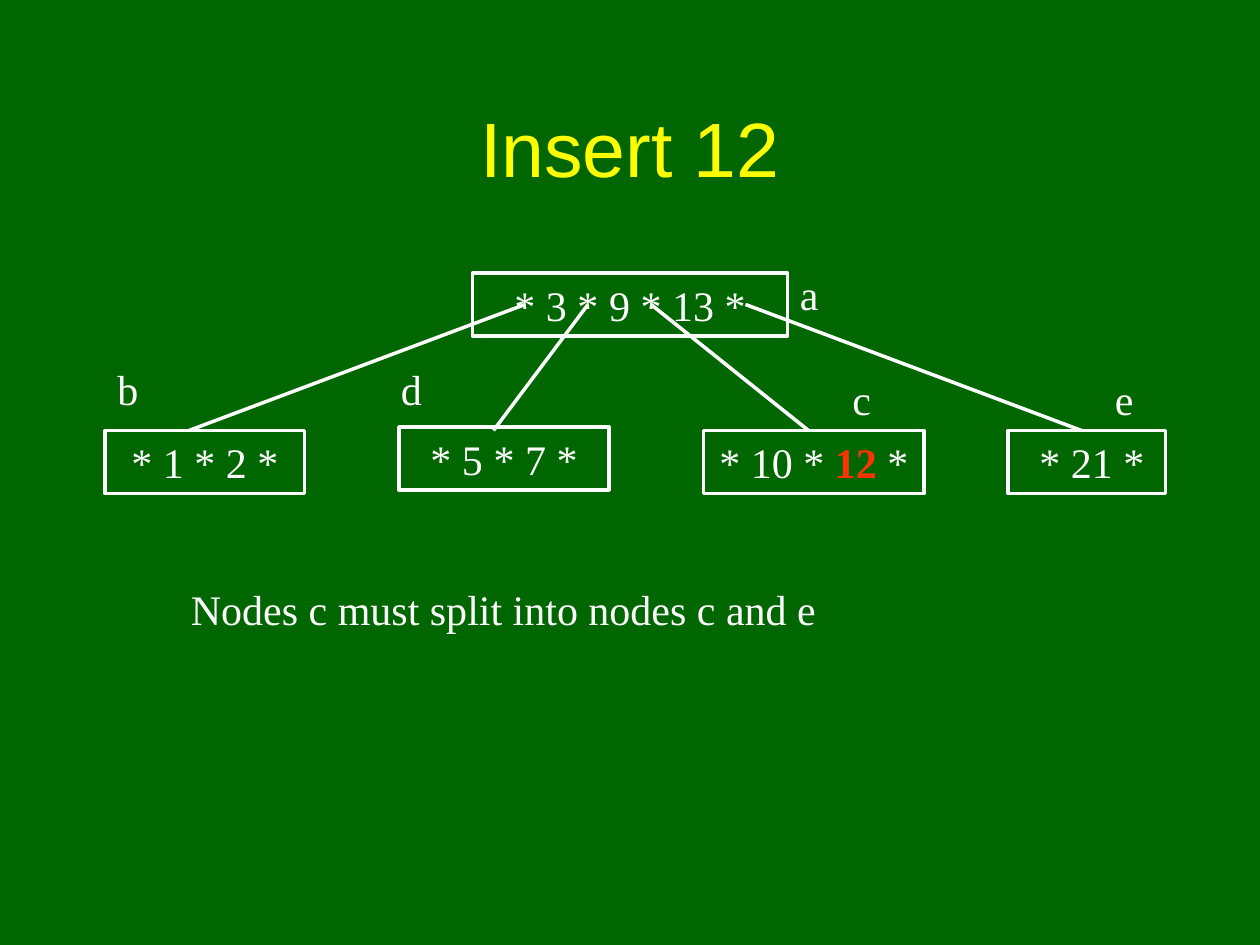
from dataclasses import dataclass

from lxml.etree import SubElement
from pptx import Presentation
from pptx.dml.color import RGBColor
from pptx.enum.shapes import MSO_CONNECTOR, MSO_SHAPE
from pptx.enum.text import MSO_ANCHOR, PP_ALIGN
from pptx.oxml.ns import qn
from pptx.util import Pt

GREEN, WHITE, YELLOW, RED = "006600", "FFFFFF", "FFFF00", "FF3300"
SERIF = "Times New Roman"
HIGH = 36  # height of every node and label


@dataclass
class Node:
    left: float
    top: float
    width: float
    runs: tuple[str, ...]
    key: str = ""  # the run that stands out


@dataclass
class Label:
    text: str
    left: float
    top: float
    width: float = 36


@dataclass
class Edge:
    start: float
    end: float


NODES = [
    Node(270, 156, 180, ("* 3 * 9 * 13 *",)),
    Node(60, 246, 114, ("* 1 * 2 *",)),
    Node(228, 244, 120, ("* 5 * 7 *",)),
    Node(402, 246, 126, ("* 10 * ", "12", " *"), "12"),
    Node(576, 246, 90, (" * 21 *",)),
]
EDGES = [Edge(300, 108), Edge(336, 282), Edge(372, 462), Edge(426, 618)]
EDGE_TOP, EDGE_END = 174, 246
LABELS = [
    Label("a", 450, 150),
    Label("b", 60, 204),
    Label("d", 222, 204),
    Label("c", 480, 210),
    Label("e", 630, 210),
    Label("Nodes c must split into nodes c and e", 102, 330, 498),
]


def color(code: str) -> RGBColor:
    return RGBColor.from_string(code)


def add_run(para, text: str, size: float = 24, face: str = SERIF,
            code: str = WHITE, bold: bool = False) -> None:
    run = para.add_run()
    run.text = text
    font = run.font
    font.size, font.name, font.bold = Pt(size), face, bold
    font.color.rgb = color(code)


def set_frame(frame, anchor=MSO_ANCHOR.TOP) -> None:
    frame.word_wrap = True
    frame.vertical_anchor = anchor
    frame.margin_left = frame.margin_right = Pt(7.2)
    frame.margin_top = frame.margin_bottom = Pt(3.6)


def add_node(slide, node: Node) -> None:
    box = slide.shapes.add_shape(
        MSO_SHAPE.RECTANGLE, Pt(node.left), Pt(node.top), Pt(node.width), Pt(HIGH))
    box.shadow.inherit = False
    box.fill.background()
    box.line.color.rgb = color(WHITE)
    box.line.width = Pt(2)
    set_frame(box.text_frame)
    para = box.text_frame.paragraphs[0]
    para.alignment = PP_ALIGN.CENTER
    for text in node.runs:
        key = text == node.key
        add_run(para, text, code=RED if key else WHITE, bold=key)


def add_edge(slide, edge: Edge) -> None:
    line = slide.shapes.add_connector(
        MSO_CONNECTOR.STRAIGHT, Pt(edge.start), Pt(EDGE_TOP), Pt(edge.end), Pt(EDGE_END))
    line.line.color.rgb = color(WHITE)
    line.line.width = Pt(2)
    SubElement(line._element.spPr, qn("a:effectLst"))


def add_label(slide, label: Label) -> None:
    box = slide.shapes.add_textbox(
        Pt(label.left), Pt(label.top), Pt(label.width), Pt(HIGH))
    set_frame(box.text_frame)
    add_run(box.text_frame.paragraphs[0], label.text)


def set_title(slide, text: str) -> None:
    title = slide.shapes.title
    title.left, title.top, title.width, title.height = Pt(54), Pt(48), Pt(612), Pt(72)
    set_frame(title.text_frame, MSO_ANCHOR.MIDDLE)
    para = title.text_frame.paragraphs[0]
    para.alignment = PP_ALIGN.CENTER
    add_run(para, text, 44, "Arial", YELLOW)


def main() -> None:
    deck = Presentation()
    deck.slide_width, deck.slide_height = Pt(720), Pt(540)
    slide = deck.slides.add_slide(deck.slide_layouts[5])
    slide.background.fill.solid()
    slide.background.fill.fore_color.rgb = color(GREEN)
    set_title(slide, "Insert 12")
    for node in NODES:
        add_node(slide, node)
    for edge in EDGES:
        add_edge(slide, edge)
    for label in LABELS:
        add_label(slide, label)
    deck.save("out.pptx")


if __name__ == "__main__":
    main()
